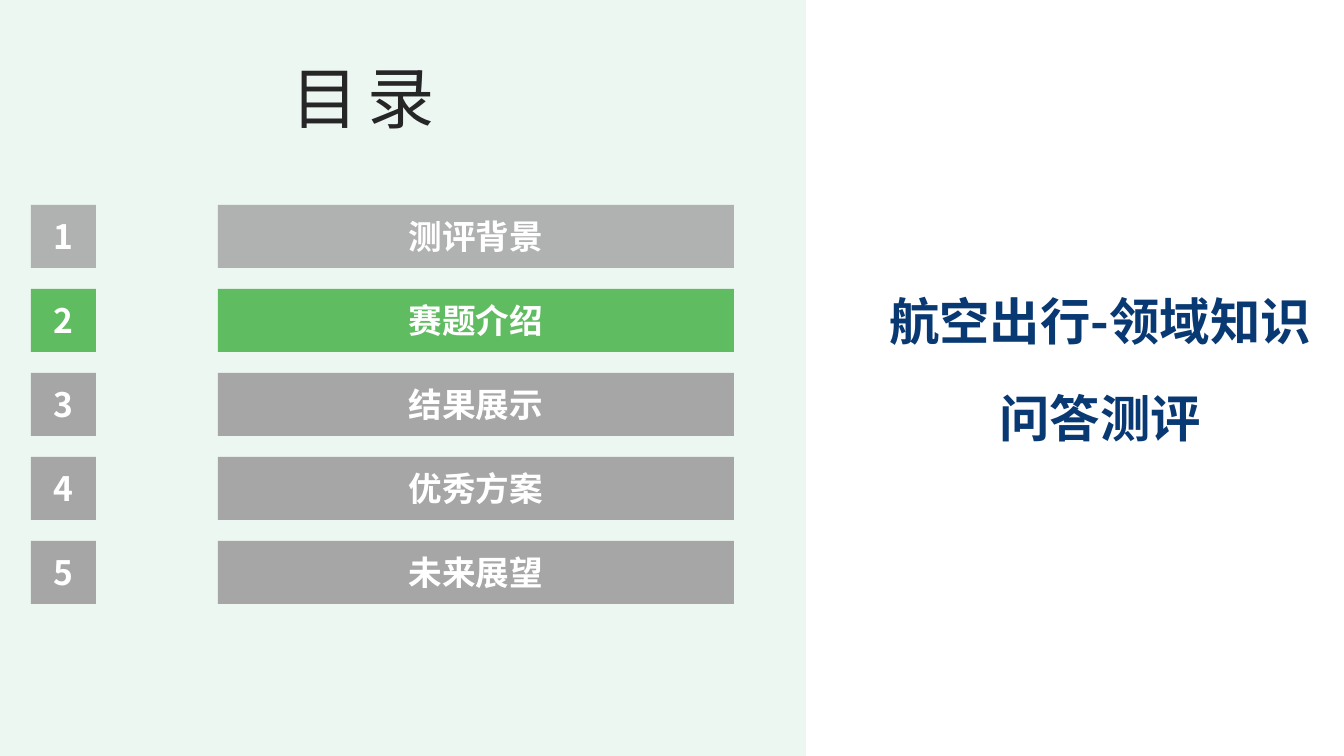
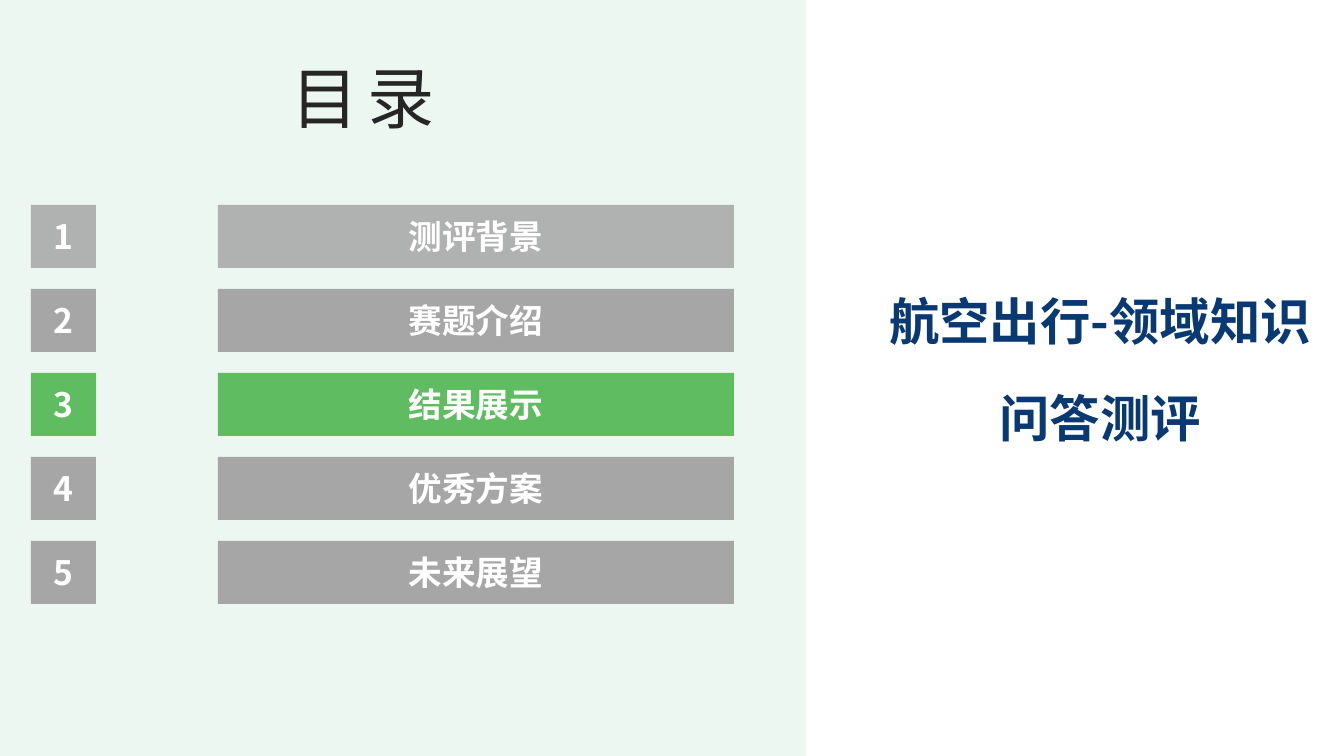
from lxml import etree
from pptx import Presentation
from pptx.dml.color import RGBColor
from pptx.enum.shapes import MSO_SHAPE
from pptx.enum.text import MSO_ANCHOR, MSO_AUTO_SIZE, PP_ALIGN
from pptx.oxml.ns import qn
from pptx.util import Emu, Pt

MINT = RGBColor(0xED, 0xF7, 0xF2)
GRAY = RGBColor(0xA6, 0xA6, 0xA6)
GREEN = RGBColor(0x60, 0xBC, 0x60)
NAVY = RGBColor(0x09, 0x39, 0x72)
INK = RGBColor(0x26, 0x26, 0x26)
WHITE = RGBColor(0xFF, 0xFF, 0xFF)

LATIN_FONT = "Arial"
CJK_FONT = "Noto Sans CJK SC"

SLIDE_W, SLIDE_H, PANEL_W = 1344, 756, 806
ROW_H, ROW_PITCH = 63, 84
NUMBER_W, BAR_X, BAR_W = 65, 187, 516

TITLE = "目录"
TOPIC = "航空出行-领域知识问答测评"
SECTIONS = ["测评背景", "赛题介绍", "结果展示", "优秀方案", "未来展望"]


def px(n):
    return Emu(round(n * 914400 / 100.8))


def set_text(tf, text, size, color, font=CJK_FONT, bold=False, align=PP_ALIGN.CENTER):
    tf.word_wrap = True
    tf.text = text
    p = tf.paragraphs[0]
    p.alignment = align
    r = p.runs[0]
    r.font.size, r.font.bold, r.font.name = Pt(size), bold, font
    r.font.color.rgb = color
    east_asian = etree.SubElement(r.font._element, qn("a:ea"))
    east_asian.set("typeface", CJK_FONT)
    return p


def add_rect(slide, x, y, w, h, color, alpha=100):
    s = slide.shapes.add_shape(MSO_SHAPE.RECTANGLE, px(x), px(y), px(w), px(h))
    s.shadow.inherit = False
    s.fill.solid()
    s.fill.fore_color.rgb = color
    s.line.fill.background()
    if alpha < 100:
        rgb = s.fill._xPr.find(".//" + qn("a:srgbClr"))
        etree.SubElement(rgb, qn("a:alpha")).set("val", str(alpha * 1000))
    return s


def add_title(slide, x, y, w, h):
    tf = slide.shapes.add_textbox(px(x), px(y), px(w), px(h)).text_frame
    tf.margin_left = 0
    p = set_text(tf, TITLE, 48, INK, font=LATIN_FONT, align=PP_ALIGN.LEFT)
    p.runs[0].font._element.set("spc", "600")


def add_topic(slide, x, y, w, h):
    tf = slide.shapes.add_textbox(px(x), px(y), px(w), px(h)).text_frame
    p = set_text(tf, TOPIC, 36, NAVY, bold=True)
    p.line_spacing = 1.6
    tf.auto_size = MSO_AUTO_SIZE.SHAPE_TO_FIT_TEXT


def add_sections(slide, x, y, current):
    for i, name in enumerate(SECTIONS):
        color = GREEN if i + 1 == current else GRAY
        alpha = 85 if i == 0 else 100
        cells = [(0, NUMBER_W, str(i + 1)), (BAR_X, BAR_W, name)]
        for left, width, text in cells:
            s = add_rect(slide, x + left, y + i * ROW_PITCH, width, ROW_H, color, alpha)
            s.text_frame.vertical_anchor = MSO_ANCHOR.MIDDLE
            set_text(s.text_frame, text, 24, WHITE, bold=True)


def add_contents_slide(prs, current):
    slide = prs.slides.add_slide(prs.slide_layouts[6])
    # Left panel with title and section list
    add_rect(slide, 0, 0, PANEL_W, SLIDE_H, MINT)
    add_title(slide, 292, 51, 192, 85)
    add_sections(slide, 31, 205, current)
    # Topic on the right
    add_topic(slide, 871, 249, 458, 206)


def main():
    prs = Presentation()
    prs.slide_width, prs.slide_height = px(SLIDE_W), px(SLIDE_H)
    for current in (2, 3):
        add_contents_slide(prs, current)
    prs.save("out.pptx")


if __name__ == "__main__":
    main()
